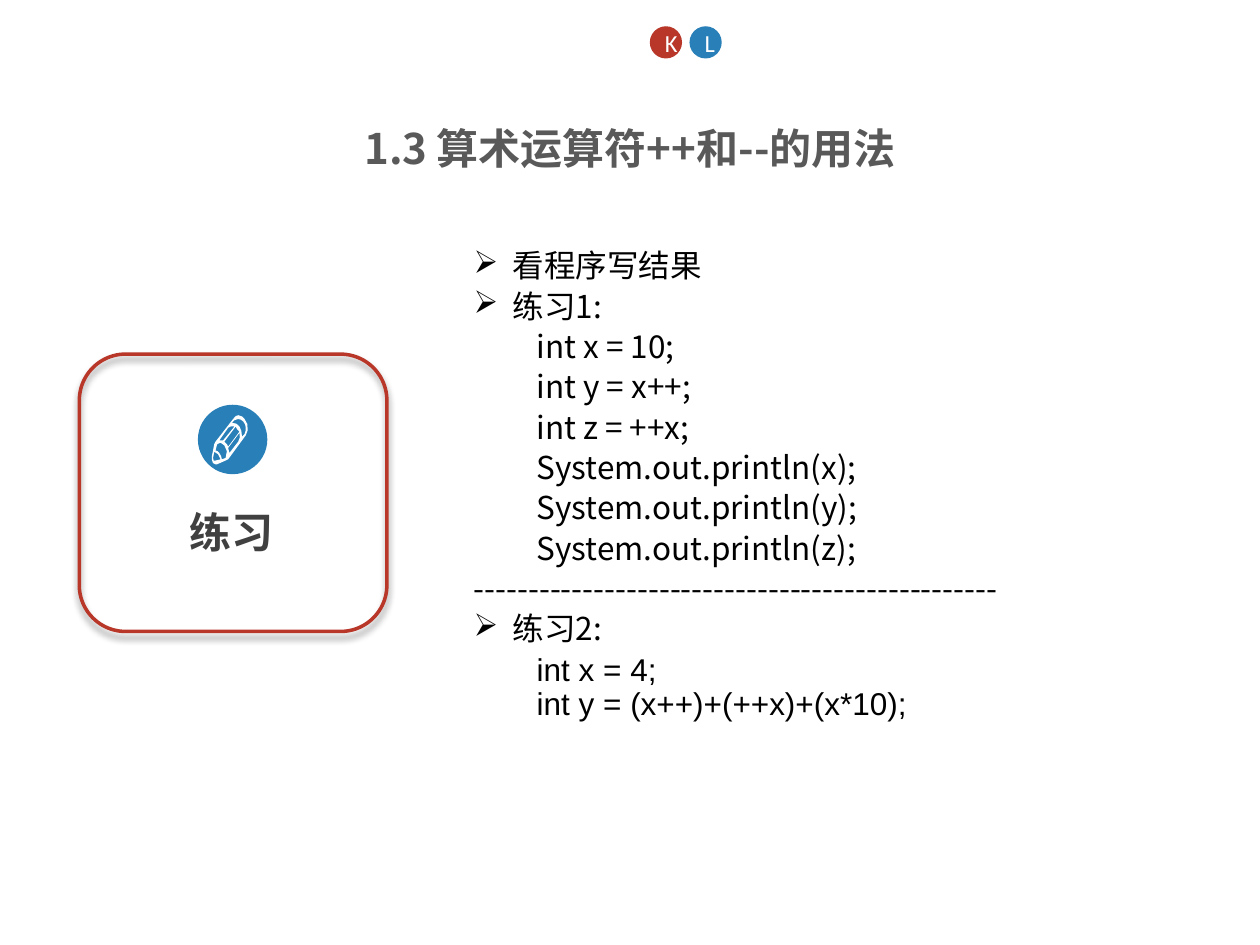
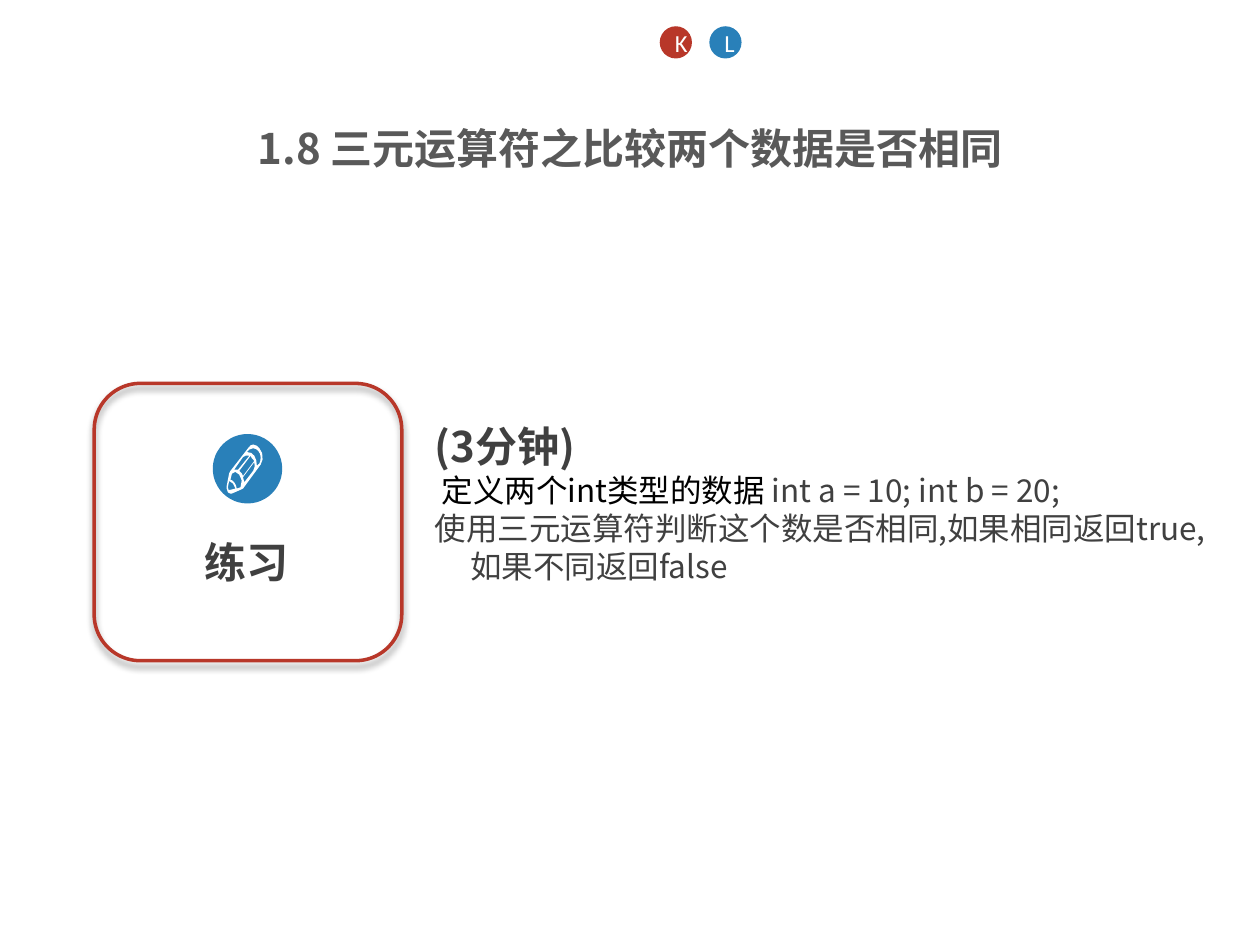
import pptx
import pptx.util
import pptx.dml.color
import pptx.enum.shapes
import pptx.enum.text
import pptx.oxml
import pptx.oxml.ns

Cm, Pt = pptx.util.Cm, pptx.util.Pt
Kind = pptx.enum.shapes.MSO_SHAPE
Align = pptx.enum.text.PP_ALIGN
qn = pptx.oxml.ns.qn

# Shared look
RED, BLUE, WHITE, BLACK = "B83729", "2980B9", "FFFFFF", "000000"
GREY, DARK = "595959", "404040"
NOTO = "Noto Sans CJK SC"
HEAD = dict(name=NOTO, size=Pt(24), bold=True)
BODY = dict(name=NOTO, size=Pt(18), bold=False)
CODE = dict(BODY, name="Arial")
MARK = dict(name="Calibri", size=Pt(14))
TIGHT = dict(line_spacing=0.9, space_after=Pt(3.6))

# Pencil contours in hundredths of an inch: outline first, then the holes
PENCIL = [
    [(26, 3), (24, 1), (21, 0), (19, 0.7), (17, 3), (3, 21), (2, 23), (0, 33),
     (0, 35), (1, 38), (3, 39), (4, 39), (11, 36), (13, 35), (27, 16),
     (28.5, 12), (28.2, 7)],
    [(26, 15), (24, 17), (23.5, 12.5), (22, 9), (19.5, 6.7), (16, 6), (18, 4),
     (21, 3), (23.2, 3.6), (25, 5), (26.5, 7.4), (27, 10), (26.8, 12.6)],
    [(8, 35), (7.4, 32.4), (6, 30), (4.6, 28.6), (3, 28), (4, 24), (4.4, 23),
     (7, 21.8), (10, 24), (12, 28.5), (11, 34)],
    [(3, 36), (1.5, 36), (1, 34), (2, 29), (5, 31), (7, 35)],
    [(9, 20), (6, 20), (13, 10), (15.3, 8.8), (18, 9)],
    [(13, 25), (12, 23), (10, 21), (19, 9), (20, 11), (22, 13)],
    [(14, 30), (13, 26), (22, 14), (22.3, 17.6), (21, 21)],
]


def color(code):
    return pptx.dml.color.RGBColor.from_string(code)


def apply(item, form):
    for key, value in form.items():
        setattr(item, key, value)


def style(run, form, code):
    apply(run.font, form)
    run.font.color.rgb = color(code)
    if form["name"] == NOTO:
        east = pptx.oxml.parse_xml(
            f'<a:ea {pptx.oxml.ns.nsdecls("a")} typeface="{NOTO}"/>')
        run.font._element.find(qn("a:latin")).addnext(east)


def write(para, parts, form=None):
    """Fill a paragraph with (text, font, colour) parts."""
    apply(para, form or {})
    for text, font, code in parts:
        for index, line in enumerate(text.split("\n")):
            if index:
                para.add_line_break()
            run = para.add_run()
            run.text = line
            style(run, font, code)


def indent(para, left, first, bullet=None):
    props = para._p.get_or_add_pPr()
    props.set("marL", str(Cm(left)))
    props.set("indent", str(Cm(first)))
    if bullet:
        props.append(pptx.oxml.parse_xml(
            f'<a:buChar {pptx.oxml.ns.nsdecls("a")} char="{bullet}"/>'))


def text_box(shapes, left, top, width, height):
    frame = shapes.add_textbox(Cm(left), Cm(top), Cm(width), Cm(height)).text_frame
    frame.word_wrap = True
    return frame


def next_para(frame):
    first = frame.paragraphs[0]
    return frame.add_paragraph() if first.runs else first


def title(slide, text):
    frame = text_box(slide.shapes, 0, 2.34, 25.4, 1.19)
    write(frame.paragraphs[0], [(text, HEAD, GREY)], dict(alignment=Align.CENTER))


def disc(shapes, left, top, size, code):
    shape = shapes.add_shape(Kind.OVAL, Cm(left), Cm(top), Cm(size), Cm(size))
    shape.shadow.inherit = False
    shape.fill.solid()
    shape.fill.fore_color.rgb = color(code)
    shape.line.fill.background()
    return shape


def marks(slide, left, step):
    """Two lettered dots at the top."""
    for index, (text, code) in enumerate([("K", RED), ("L", BLUE)]):
        dot = disc(slide.shapes, left + index * step, 0.53, 0.65, code)
        write(dot.text_frame.paragraphs[0], [(text, MARK, WHITE)],
              dict(alignment=Align.CENTER))


def pencil(shapes, left, top):
    paths = [[(x * 10, y * 10) for x, y in path] for path in PENCIL]
    build = shapes.build_freeform(*paths[0][0], scale=Cm(2.54) / 1000)
    build.add_line_segments(paths[0][1:])
    for path in paths[1:]:
        build.move_to(*path[0])
        build.add_line_segments(path[1:])
    shape = build.convert_to_shape(Cm(left), Cm(top))
    shape.shadow.inherit = False
    shape.fill.solid()
    shape.fill.fore_color.rgb = color(WHITE)
    shape.line.fill.background()


def card(slide, left, top):
    """Exercise card: label, pencil badge and red frame."""
    shapes = slide.shapes.add_group_shape().shapes
    label = text_box(shapes, left + 1.98, top + 3.07, 2.21, 1.14)
    write(label.paragraphs[0], [("练习\t", HEAD, DARK)],
          dict(line_spacing=0.9, space_before=Pt(4.8), space_after=Pt(4.8)))
    disc(shapes, left + 2.39, top + 1.02, 1.4, BLUE)
    pencil(shapes, left + 2.67, top + 1.23)
    frame = shapes.add_shape(Kind.ROUNDED_RECTANGLE, Cm(left), Cm(top),
                             Cm(6.2), Cm(5.59))
    frame.fill.background()
    frame.line.color.rgb = color(RED)
    frame.line.width = Pt(2)
    frame._element.spPr.append(pptx.oxml.parse_xml(
        f'<a:effectLst {pptx.oxml.ns.nsdecls("a")}>'
        f'<a:outerShdw blurRad="{Pt(4)}" dist="{Pt(3)}" dir="5400000" rotWithShape="0">'
        f'<a:srgbClr val="{BLACK}"><a:alpha val="40000"/></a:srgbClr>'
        '</a:outerShdw></a:effectLst>'))


def bullet(frame, text):
    para = next_para(frame)
    write(para, [(text, BODY, BLACK)], TIGHT)
    indent(para, 0.79, -0.79, "➢")


def code(frame, text, font=BODY):
    para = next_para(frame)
    write(para, [(text, font, BLACK)], dict(TIGHT, level=1))
    indent(para, 1.27, 0)


def main():
    deck = pptx.Presentation()
    deck.slide_width, deck.slide_height = Cm(25.4), Cm(19.05)
    blank = deck.slide_layouts[6]

    # Slide 1: increment and decrement
    slide = deck.slides.add_slide(blank)
    title(slide, "1.3 算术运算符++和--的用法")
    frame = text_box(slide.shapes, 9.3, 4.93, 16.1, 11.79)
    bullet(frame, "看程序写结果")
    bullet(frame, "练习1:")
    for line in ["int x = 10;", "int y = x++;", "int z = ++x;"]:
        code(frame, line)
    for name in "xyz":
        code(frame, f"System.out.println({name});")
    write(next_para(frame), [("-" * 48, BODY, BLACK)], TIGHT)
    bullet(frame, "练习2:")
    code(frame, "int x = 4;\nint y = (x++)+(++x)+(x*10);", CODE)
    card(slide, 1.6, 7.14)
    marks(slide, 13.1, 0.8)

    # Slide 2: ternary operator
    slide = deck.slides.add_slide(blank)
    title(slide, "1.8 三元运算符之比较两个数据是否相同")
    marks(slide, 13.3, 1)
    frame = text_box(slide.shapes, 8.51, 8.36, 16.21, 4.37)
    write(next_para(frame), [("(3分钟)", HEAD, DARK)])
    write(next_para(frame), [(" 定义两个int类型的数据 ", BODY, BLACK),
                             ("int a = 10; int b = 20;", BODY, DARK)])
    task = next_para(frame)
    write(task, [("使用三元运算符判断这个数是否相同,如果相同返回"
                  "true,如果不同返回false", BODY, DARK)])
    indent(task, 0.72, -0.72)
    card(slide, 1.9, 7.73)

    deck.save("out.pptx")


if __name__ == "__main__":
    main()
